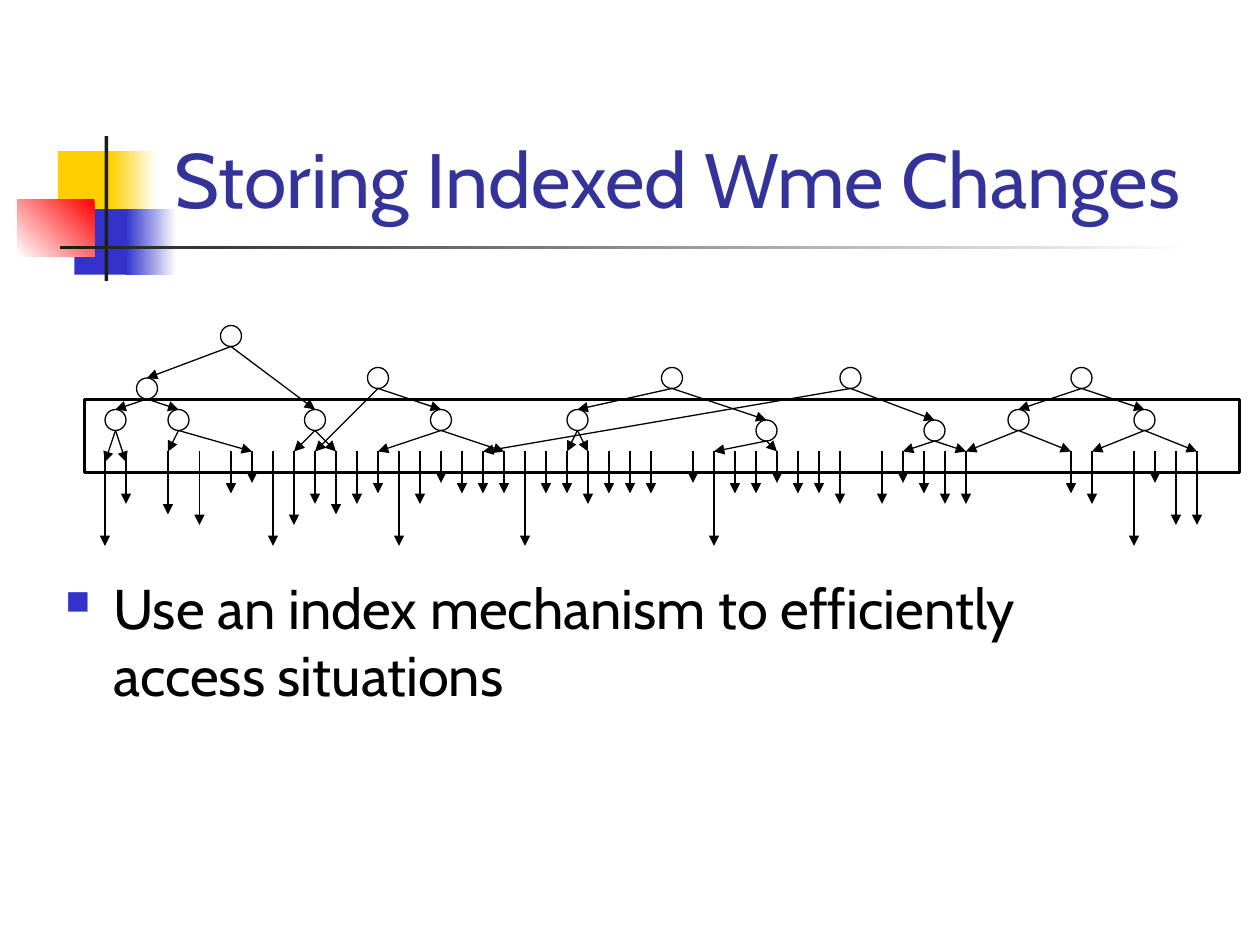
from lxml.etree import SubElement
from pptx import Presentation
from pptx.dml.color import RGBColor
from pptx.enum.shapes import MSO_CONNECTOR, MSO_SHAPE
from pptx.enum.text import MSO_ANCHOR, PP_ALIGN
from pptx.oxml.ns import qn
from pptx.util import Inches, Pt

FONT = "Cabin"
TITLE = "Storing Indexed Wme Changes"
BULLET = "Use an index mechanism to efficiently access situations"

# left, top, width, height, colours (two make a gradient), clockwise angle
DECORATION = [
    (0.46, 1.2, 0.48, 0.52, ["FFCF01"], 0),
    (0.88, 1.2, 0.36, 0.52, ["FFFFFF", "FFCF01"], 180),
    (0.59, 1.66, 0.46, 0.52, ["3333CC"], 0),
    (1, 1.66, 0.4, 0.52, ["FFFFFF", "3333CC"], 180),
    (0.14, 1.58, 0.61, 0.46, ["FF0000", "FFFFFF"], 135),
    (0.83, 1.08, 0.03, 1.15, ["1C1C1C"], 0),
    (0.48, 1.95, 9, 0.03, ["FFFFFF", "1C1C1C"], 180),
]

# The diagram sits on a grid of twelfths of an inch.
GRID = 1 / 12
NODE_SIZE = 2
LEAF_ROW = 43

# end row of the arrows -> their columns
SITUATION_ARROWS = {
    46: [24, 42, 66, 74, 86, 110],
    47: [22, 36, 44, 46, 48, 52, 54, 58, 60, 62, 70, 72, 76, 78, 88, 102],
    48: [12, 30, 34, 40, 56, 80, 84, 90, 92, 104],
    49: [16, 32],
    50: [19, 28, 112, 114],
    52: [10, 26, 38, 50, 68, 108],
}

# centre column, top row, (column, row) of each child
TREE_NODES = [
    (22, 31, [(14, 36), (30, 39)]),
    (14, 36, [(11, 39), (17, 39)]),
    (11, 39, [(10, 44), (12, 44)]),
    (17, 39, [(16, LEAF_ROW), (24, LEAF_ROW)]),
    (30, 39, [(28, LEAF_ROW), (32, LEAF_ROW)]),
    (36, 35, [(30, LEAF_ROW), (42, 39)]),
    (42, 39, [(36, LEAF_ROW), (48, LEAF_ROW)]),
    (64, 35, [(55, 39), (73, 40)]),
    (55, 39, [(54, LEAF_ROW), (56, LEAF_ROW)]),
    (73, 40, [(68, LEAF_ROW), (74, LEAF_ROW)]),
    (81, 35, [(46, LEAF_ROW), (89, 40)]),
    (89, 40, [(86, LEAF_ROW), (92, LEAF_ROW)]),
    (103, 35, [(97, 39), (109, 39)]),
    (97, 39, [(92, LEAF_ROW), (102, LEAF_ROW)]),
    (109, 39, [(104, LEAF_ROW), (114, LEAF_ROW)]),
]


def color(hex_string):
    return RGBColor.from_string(hex_string)


def add_filled_shape(slide, kind, box, colors, angle=0, line_width=None):
    shape = slide.shapes.add_shape(kind, *map(Inches, box))
    shape.shadow.inherit = False
    if len(colors) == 1:
        shape.fill.solid()
        shape.fill.fore_color.rgb = color(colors[0])
    else:
        shape.fill.gradient()
        shape.fill.gradient_angle = 360 - angle
        for stop, hex_string in zip(shape.fill.gradient_stops, colors):
            stop.color.rgb = color(hex_string)
    if line_width:
        shape.line.color.rgb = color("000000")
        shape.line.width = Pt(line_width)
    else:
        shape.line.fill.background()


def add_arrow(slide, start, end):
    """Draw an arrow between two (column, row) grid points."""
    points = [Inches(value * GRID) for value in (*start, *end)]
    arrow = slide.shapes.add_connector(MSO_CONNECTOR.STRAIGHT, *points)
    arrow.line.color.rgb = color("000000")
    arrow.line.width = Pt(0.75)
    SubElement(arrow.line._get_or_add_ln(), qn("a:tailEnd"), type="triangle")
    SubElement(arrow._element.spPr, qn("a:effectLst"))


def add_text(slide, box, text, size, hex_string, anchor):
    frame = slide.shapes.add_textbox(*map(Inches, box)).text_frame
    frame.word_wrap = True
    frame.vertical_anchor = anchor
    paragraph = frame.paragraphs[0]
    paragraph.text = text
    return paragraph, size, hex_string


def set_font(paragraph, size, hex_string):
    paragraph.font.name = FONT
    paragraph.font.size = Pt(size)
    paragraph.font.color.rgb = color(hex_string)


def add_bullet(paragraph):
    properties = paragraph._p.get_or_add_pPr()
    properties.set("marL", str(Inches(0.38)))
    properties.set("indent", str(-Inches(0.38)))
    bullet_color = SubElement(properties, qn("a:buClr"))
    SubElement(bullet_color, qn("a:srgbClr"), val="3333CC")
    SubElement(properties, qn("a:buSzPct"), val="60000")
    SubElement(properties, qn("a:buChar"), char="■")


def add_tree(slide):
    for end_row, columns in SITUATION_ARROWS.items():
        for column in columns:
            add_arrow(slide, (column, LEAF_ROW), (column, end_row))
    for column, top, children in TREE_NODES:
        box = (column - NODE_SIZE / 2, top, NODE_SIZE, NODE_SIZE)
        add_filled_shape(slide, MSO_SHAPE.OVAL, [value * GRID for value in box],
                         ["FFFFFF"], line_width=0.75)
        for child in children:
            add_arrow(slide, (column, top + NODE_SIZE), child)


def main():
    presentation = Presentation()
    presentation.slide_width = Inches(10)
    presentation.slide_height = Inches(7.5)
    slide = presentation.slides.add_slide(presentation.slide_layouts[6])

    for *box, colors, angle in DECORATION:
        add_filled_shape(slide, MSO_SHAPE.RECTANGLE, box, colors, angle)
    add_filled_shape(slide, MSO_SHAPE.RECTANGLE, (0.67, 3.17, 9.17, 0.58),
                     ["FFFFFF"], line_width=1.5)

    title, *title_font = add_text(slide, (1.26, 0.23, 8.24, 1.6), TITLE,
                                  44, "333399", MSO_ANCHOR.BOTTOM)
    title.alignment = PP_ALIGN.CENTER
    set_font(title, *title_font)

    body, *body_font = add_text(slide, (0.42, 4.5, 9, 2.33), BULLET,
                                32, "000000", MSO_ANCHOR.TOP)
    add_bullet(body)
    set_font(body, *body_font)

    add_tree(slide)
    presentation.save("out.pptx")


if __name__ == "__main__":
    main()
